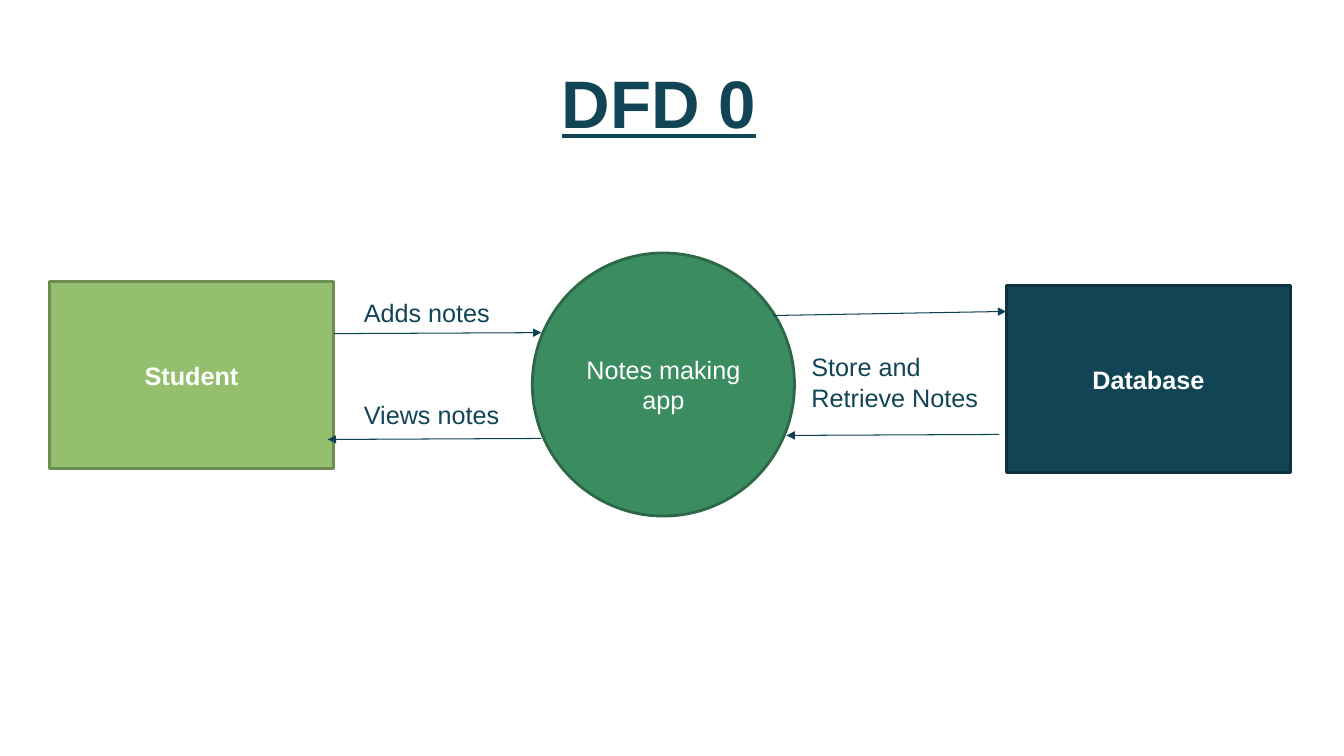
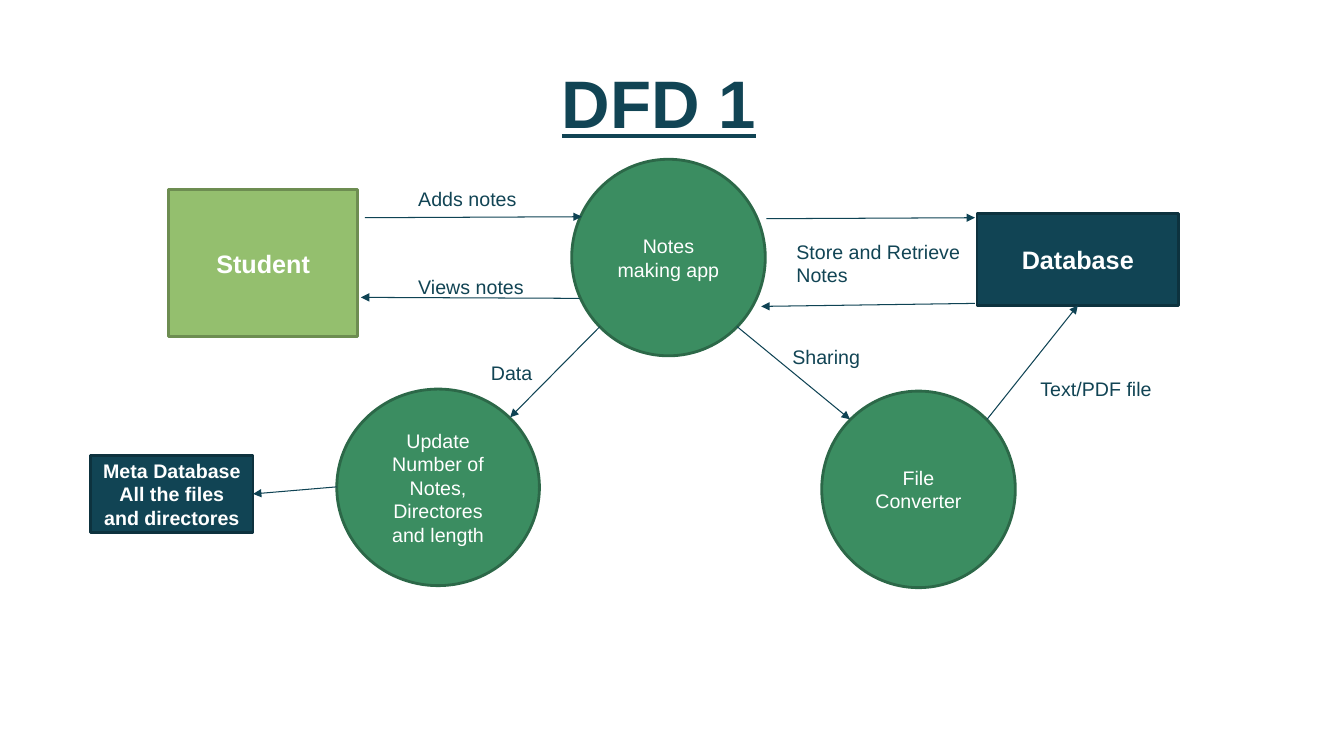
"""Build two data flow diagrams of a notes making app: level 0 and level 1."""
from lxml import etree
from pptx import Presentation
from pptx.dml.color import RGBColor
from pptx.enum import shapes, text
from pptx.oxml.ns import qn
from pptx.util import Inches, Pt

COLORS = {
    "ink": "114454", "arrow": "0F4354", "white": "FFFFFF",
    "source": "94BF6E", "source_edge": "6D8D51",
    "store": "114454", "store_edge": "0D323E",
    "process": "3B8D61", "process_edge": "2C6848",
}
OUTLINES = {
    "source": shapes.MSO_SHAPE.RECTANGLE,
    "store": shapes.MSO_SHAPE.RECTANGLE,
    "process": shapes.MSO_SHAPE.OVAL,
}
TITLE_BOX = (5.46, 0.56, 2.15, 0.91)

DIAGRAMS = [
    {
        "title": "DFD 0",
        "label_size": 18,
        "nodes": [
            ("source", "Student", 18, (0.49, 2.79, 2.82, 1.86)),
            ("store", "Database", 18, (9.98, 2.83, 2.82, 1.86)),
            ("process", "Notes making app", 18, (5.28, 2.51, 2.6, 2.61)),
        ],
        "flows": [
            (3.31, 3.31, 5.37, 3.3),
            (5.37, 4.35, 3.25, 4.36),
            (9.91, 4.31, 7.8, 4.32),
            (7.67, 3.13, 9.98, 3.09),
        ],
        "labels": [
            ("Adds notes", (3.51, 2.9, 1.79, 0.4)),
            ("Views notes", (3.51, 3.91, 1.79, 0.4)),
            ("Store and Retrieve Notes", (7.95, 3.44, 2.16, 0.71)),
        ],
    },
    {
        "title": "DFD 1",
        "label_size": 14,
        "nodes": [
            ("source", "Student", 18, (1.67, 1.88, 1.88, 1.46)),
            ("store", "Database", 18, (9.69, 2.12, 2, 0.91)),
            ("process", "Notes making app", 14, (5.67, 1.58, 1.92, 1.95)),
            ("process", "Update Number of Notes, Directores and length", 14,
             (3.34, 3.86, 2.01, 1.95)),
            ("store", "Meta Database All the files and directores", 14,
             (0.9, 4.52, 1.61, 0.76)),
            ("process", "File Converter", 14, (8.15, 3.88, 1.92, 1.95)),
        ],
        "flows": [
            (3.62, 2.16, 5.77, 2.15),
            (5.75, 2.96, 3.58, 2.95),
            (9.67, 3.01, 7.55, 3.04),
            (7.6, 2.17, 9.67, 2.16),
            (5.95, 3.24, 5.06, 4.14),
            (3.34, 4.83, 2.51, 4.9),
            (7.31, 3.24, 8.43, 4.16),
            (9.79, 4.16, 10.69, 3.03),
        ],
        "labels": [
            ("Adds notes", (4.05, 1.81, 1.7, 0.34)),
            ("Views notes", (4.05, 2.68, 1.7, 0.34)),
            ("Store and Retrieve Notes", (7.8, 2.33, 2.05, 0.58)),
            ("Data", (4.77, 3.53, 0.85, 0.34)),
            ("Sharing", (7.76, 3.37, 1.05, 0.34)),
            ("Text/PDF file", (10.22, 3.69, 2.05, 0.34)),
        ],
    },
]


def rgb(name):
    return RGBColor.from_string(COLORS[name])


def write(frame, words, size, color, align, bold=False, wrap=True):
    frame.word_wrap = wrap
    paragraph = frame.paragraphs[0]
    paragraph.text = words
    paragraph.alignment = align
    paragraph.font.name = "Arial"
    paragraph.font.size = Pt(size)
    paragraph.font.bold = bold
    paragraph.font.color.rgb = rgb(color)
    return paragraph


deck = Presentation()
deck.slide_width, deck.slide_height = Inches(13.33), Inches(7.5)

for diagram in DIAGRAMS:
    slide = deck.slides.add_slide(deck.slide_layouts[6])

    title = slide.shapes.add_textbox(*map(Inches, TITLE_BOX)).text_frame
    heading = write(title, diagram["title"], 48, "ink", text.PP_ALIGN.CENTER, True, False)
    heading.font.underline = True
    title.auto_size = text.MSO_AUTO_SIZE.SHAPE_TO_FIT_TEXT

    for role, name, size, box in diagram["nodes"]:
        node = slide.shapes.add_shape(OUTLINES[role], *map(Inches, box))
        node.shadow.inherit = False
        node.fill.solid()
        node.fill.fore_color.rgb = rgb(role)
        node.line.color.rgb = rgb(role + "_edge")
        node.line.width = Pt(2)
        node.text_frame.vertical_anchor = text.MSO_ANCHOR.MIDDLE
        write(node.text_frame, name, size, "white", text.PP_ALIGN.CENTER, role != "process")

    for ends in diagram["flows"]:
        flow = slide.shapes.add_connector(shapes.MSO_CONNECTOR.STRAIGHT, *map(Inches, ends))
        flow.line.color.rgb = rgb("arrow")
        flow.line.width = Pt(0.75)
        etree.SubElement(flow.line._get_or_add_ln(), qn("a:tailEnd"), type="triangle")
        etree.SubElement(flow._element.spPr, qn("a:effectLst"))

    for words, box in diagram["labels"]:
        label = slide.shapes.add_textbox(*map(Inches, box)).text_frame
        write(label, words, diagram["label_size"], "ink", text.PP_ALIGN.LEFT)
        label.auto_size = text.MSO_AUTO_SIZE.SHAPE_TO_FIT_TEXT

deck.save("out.pptx")
